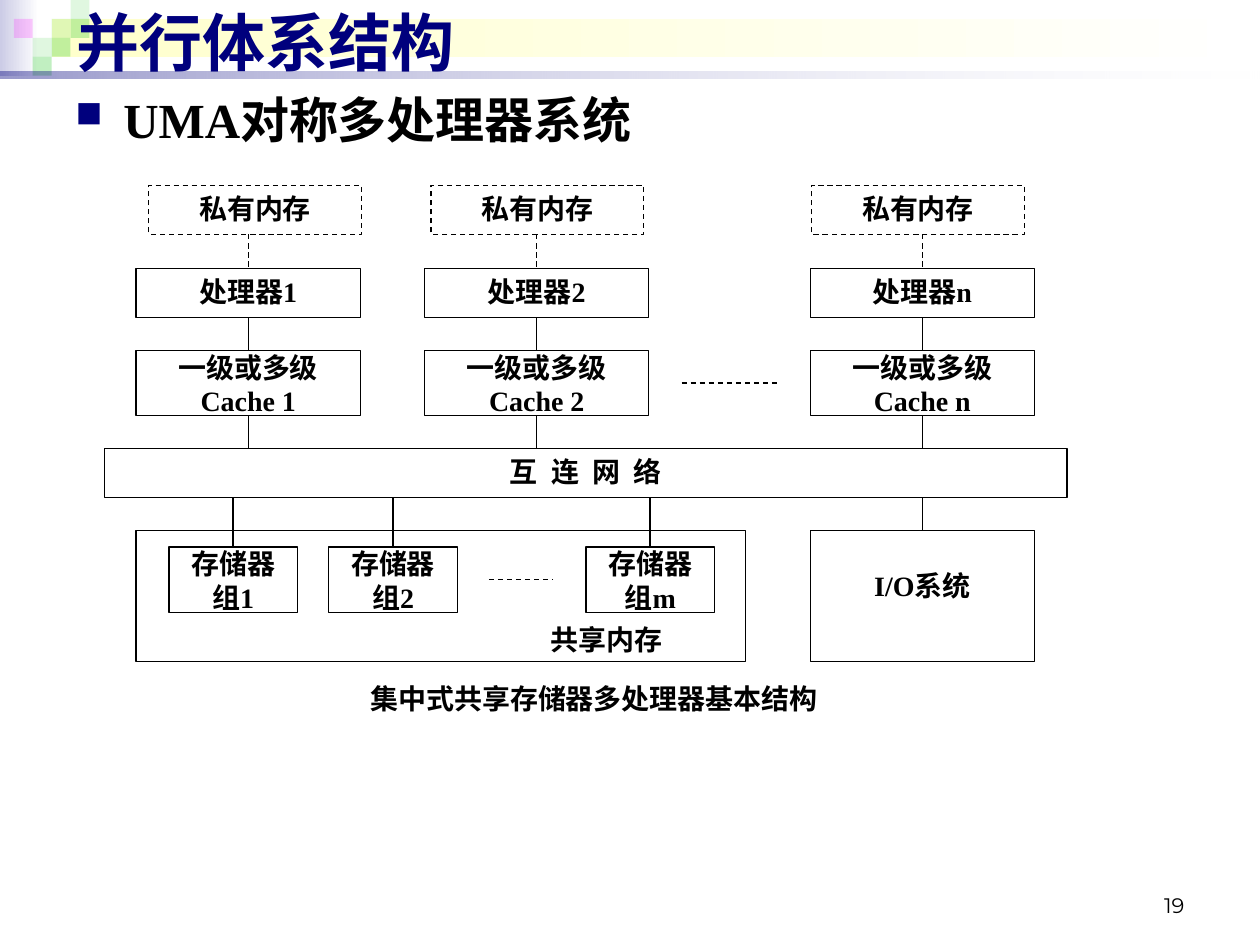
from lxml import etree
from pptx import Presentation
from pptx import util as u
from pptx.dml.color import RGBColor
from pptx.enum import dml, shapes, text
from pptx.oxml.ns import qn

I = u.Inches
COLORS = {"ink": "000000", "paper": "FFFFFF", "navy": "00007D", "lavender": "CCCCE6",
          "cream": "FFFFCC", "green": "33CC33", "pink": "FF00FF"}
SERIF, SANS, CJK = "Times New Roman", "Arial", "Noto Sans CJK SC"

TITLE = "并行体系结构"
HEADING = "UMA对称多处理器系统"
CAPTION = "集中式共享存储器多处理器基本结构"
# processor name, left of its column, left of its private memory
PROCESSORS = [("1", 1.08, 1.18), ("2", 3.37, 3.42), ("n", 6.43, 6.44)]
BANKS = [("1", 1.34), ("2", 2.61), ("m", 4.65)]
ELLIPSES = [(5.41, 6.17, 3.04), (3.88, 4.39, 4.6)]
# column, row, colour, opacity of the corner squares
TILE = 0.15
TILES = [(2, 1, "green", 15), (3, 0, "green", 15), (3, 1, "green", 30), (1, 2, "green", 15),
         (0, 1, "pink", 20), (2, 2, "green", 30), (1, 3, "green", 30)]
# left, top, width, height, (left colour, opacity), (right colour, opacity)
BANDS = [(0, 0, 0.31, 0.6, ("lavender", 100), ("paper", 100)),
         (0.41, 0.15, 9.55, 0.3, ("cream", 100), ("paper", 100))]
RULE = (0, 0.57, 10, 0.05, ("navy", 40), ("paper", 10))

PRIVATE_Y, CPU_Y, CACHE_Y, NET_Y, IO_Y, BANK_Y = 1.47, 2.13, 2.78, 3.56, 4.21, 4.34
COL_W, ROW_H, TALL_H, IO_H = 1.78, 0.39, 0.52, 1.04

prs = Presentation()
prs.slide_width, prs.slide_height = I(10), I(7.5)
s = prs.slides.add_slide(prs.slide_layouts[5])


def rgb(name):
    return RGBColor.from_string(COLORS[name])


def set_opacity(color_el, percent):
    etree.SubElement(color_el, qn("a:alpha")).set("val", str(percent * 1000))


def rect(x, y, w, h):
    sp = s.shapes.add_shape(shapes.MSO_SHAPE.RECTANGLE, I(x), I(y), I(w), I(h))
    sp.shadow.inherit = False
    sp.line.fill.background()
    return sp


def band(x, y, w, h, *ends):
    sp = rect(x, y, w, h)
    sp.fill.gradient()
    sp.fill.gradient_angle = 0
    for stop, (color, opacity) in zip(sp.fill.gradient_stops, ends):
        stop.color.rgb = rgb(color)
    for el, (color, opacity) in zip(sp._element.spPr.iter(qn("a:srgbClr")), ends):
        if opacity < 100:
            set_opacity(el, opacity)


def write(sp, lines, size=16, font=SERIF, color="ink", bold=True, align=text.PP_ALIGN.CENTER,
          anchor=text.MSO_ANCHOR.TOP, inset=(0.1, 0.05), wrap=True):
    tf = sp.text_frame
    tf.auto_size = text.MSO_AUTO_SIZE.NONE
    tf.word_wrap, tf.vertical_anchor = wrap, anchor
    tf.margin_left = tf.margin_right = I(inset[0])
    tf.margin_top = tf.margin_bottom = I(inset[1])
    tf.text = lines
    for p in tf.paragraphs:
        p.alignment = align
        f = p.font
        f.size, f.name, f.bold = u.Pt(size), font, bold
        f.color.rgb = rgb(color)
        for r in p.runs:
            etree.SubElement(r._r.get_or_add_rPr(), qn("a:ea")).set("typeface", CJK)
    return tf


def pen(line, dashed=False):
    line.color.rgb = rgb("ink")
    line.width = u.Pt(0.75)
    if dashed:
        line.dash_style = dml.MSO_LINE.DASH


def box(x, y, w, h, lines, dashed=False, inset=(0.1, 0.05)):
    sp = rect(x, y, w, h)
    sp.fill.solid()
    sp.fill.fore_color.rgb = rgb("paper")
    pen(sp.line, dashed)
    write(sp, lines, inset=inset)
    return sp


def wire(x1, y1, x2, y2, dashed=False, begin=None, end=None):
    """Draw a line; begin joins a box's bottom and end joins a box's top."""
    c = s.shapes.add_connector(shapes.MSO_CONNECTOR.STRAIGHT, I(x1), I(y1), I(x2), I(y2))
    etree.SubElement(c._element.spPr, qn("a:effectLst"))
    pen(c.line, dashed)
    if begin is not None:
        c.begin_connect(begin, 2)
    if end is not None:
        c.end_connect(end, 0)


# Header decoration
for item in BANDS:
    band(*item)
for col, row, color, opacity in TILES:
    sp = rect(0.11 + col * TILE, row * TILE, TILE, TILE)
    sp.fill.solid()
    sp.fill.fore_color.rgb = rgb(color)
    set_opacity(next(sp._element.spPr.iter(qn("a:srgbClr"))), opacity)
band(*RULE)

# Title and heading
title = s.shapes.title
title.left, title.top, title.width, title.height = I(0.51), I(-0.03), I(9.37), I(0.71)
write(title, TITLE, 36, SANS, "navy", align=text.PP_ALIGN.LEFT, anchor=text.MSO_ANCHOR.MIDDLE)
s.shapes._spTree.append(title._element)  # in front of the header bands

heading = s.shapes.add_textbox(I(0.5), I(0.66), I(9.38), I(0.6))
p = write(heading, HEADING, 28, align=text.PP_ALIGN.LEFT).paragraphs[0]
pPr = p._p.get_or_add_pPr()
pPr.set("marL", str(I(0.38)))
pPr.set("indent", str(-I(0.38)))
bullet = [etree.Element(qn(tag)) for tag in ("a:buClr", "a:buSzPct", "a:buChar")]
etree.SubElement(bullet[0], qn("a:srgbClr")).set("val", COLORS["navy"])
bullet[1].set("val", "75000")
bullet[2].set("char", "■")
for i, el in enumerate(bullet):
    pPr.insert(i, el)

# Interconnect, I/O and shared memory
network = box(0.83, NET_Y, 7.64, ROW_H, "互 连 网 络")
network.text_frame.paragraphs[0].runs[0].font._element.set("spc", "200")
io_system = box(6.43, IO_Y, COL_W, IO_H, "I/O系统")
io_system.text_frame.margin_top = I(0.3)
frame = rect(1.08, IO_Y, 4.84, IO_H)
frame.fill.background()
pen(frame.line)
shared = s.shapes.add_textbox(I(4.37), I(4.94), I(1.55), I(0.25))
write(shared, "共享内存", align=text.PP_ALIGN.LEFT, inset=(0, 0))

# Processor columns
for name, x, private_x in PROCESSORS:
    mid = x + COL_W / 2
    box(private_x, PRIVATE_Y, 1.69, ROW_H, "私有内存", dashed=True)
    cpu = box(x, CPU_Y, COL_W, ROW_H, f"处理器{name}")
    cache = box(x, CACHE_Y, COL_W, TALL_H, f"一级或多级\nCache {name}", inset=(0, 0))
    wire(mid, PRIVATE_Y + ROW_H, mid, CPU_Y, dashed=True, end=cpu)
    wire(mid, CPU_Y + ROW_H, mid, CACHE_Y, begin=cpu, end=cache)
    wire(mid, CACHE_Y + TALL_H, mid, NET_Y, begin=cache)

# Memory banks
net_bottom = NET_Y + ROW_H
for name, x in BANKS:
    bank = box(x, BANK_Y, 1.02, TALL_H, f"存储器\n组{name}", inset=(0, 0))
    wire(x + 0.51, net_bottom, x + 0.51, BANK_Y, end=bank)
io_mid = 6.43 + COL_W / 2
wire(io_mid, net_bottom, io_mid, IO_Y, end=io_system)
for x1, x2, y in ELLIPSES:
    wire(x1, y, x2, y, dashed=True)

# Caption and page number
caption = s.shapes.add_textbox(I(1.72), I(5.36), I(5.99), I(0.2))
write(caption, CAPTION, font=CJK, inset=(0, 0), wrap=False).paragraphs[0].line_spacing = 1.19
number = s.shapes.add_textbox(I(7.17), I(6.83), I(2.33), I(0.5))
write(number, "19", 12, "Montserrat", bold=False, align=text.PP_ALIGN.RIGHT,
      anchor=text.MSO_ANCHOR.BOTTOM)

prs.save("out.pptx")
